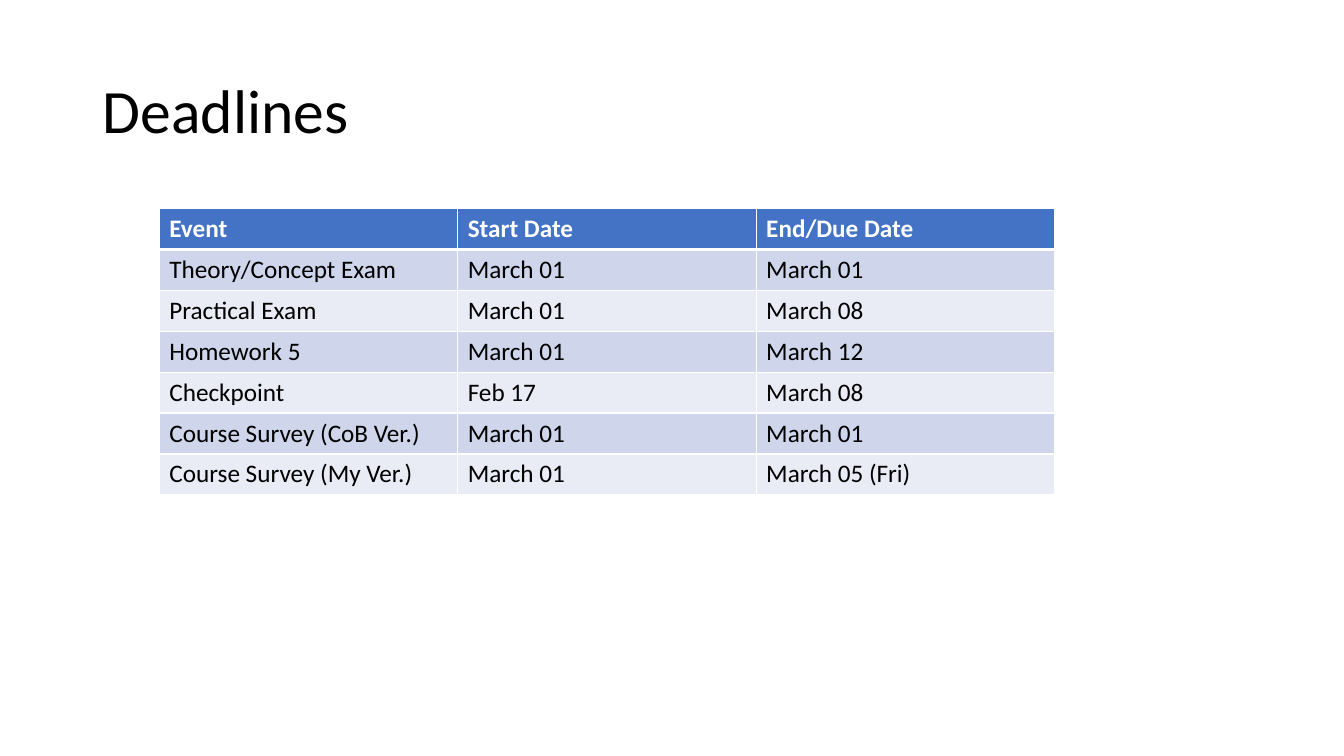
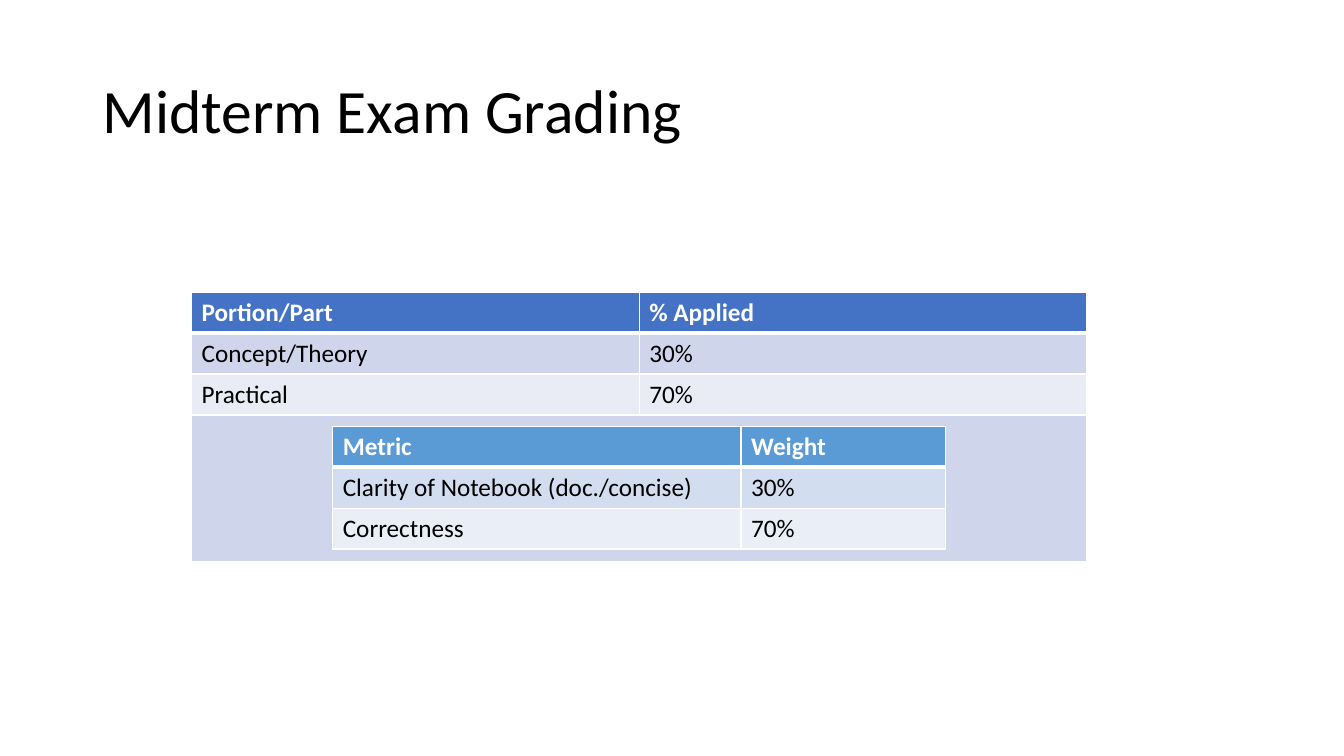
from lxml.etree import SubElement
from pptx import Presentation
from pptx.dml.color import RGBColor
from pptx.enum.text import MSO_ANCHOR
from pptx.oxml.ns import qn
from pptx.util import Inches, Pt

FONT = "Calibri"
BLACK = "000000"
WHITE = "FFFFFF"
ROW_HEIGHT = 2.84 / 7
THIN_BORDER = 1
HEADER_BORDER = 3
BLUE_STYLE = {"header": "4472C4", "bands": ("CFD5EA", "E9EBF5")}
LIGHT_BLUE_STYLE = {"header": "5B9BD5", "bands": ("D2DEEF", "EAEFF7")}
TITLE_FORMAT = {"name": FONT, "size": Pt(44), "bold": False}
HEADER_FORMAT = {"name": FONT, "size": Pt(18), "bold": True}
BODY_FORMAT = {"name": FONT, "size": Pt(18), "bold": False}

DEADLINES = [
    ("Event", "Start Date", "End/Due Date"),
    ("Theory/Concept Exam", "March 01", "March 01"),
    ("Practical Exam", "March 01", "March 08"),
    ("Homework 5", "March 01", "March 12"),
    ("Checkpoint", "Feb 17", "March 08"),
    ("Course Survey (CoB Ver.)", "March 01", "March 01"),
    ("Course Survey (My Ver.)", "March 01", "March 05 (Fri)"),
]
EXAM_PARTS = [
    ("Portion/Part", "% Applied"),
    ("Concept/Theory", "30%"),
    ("Practical", "70%"),
    ("", ""),
]
PRACTICAL_METRICS = [
    ("Metric", "Weight"),
    ("Clarity of Notebook (doc./concise)", "30%"),
    ("Correctness", "70%"),
]


def color(value):
    """Return the colour for a hex string."""
    return RGBColor.from_string(value)


def write_text(paragraph, text, font_format, text_color):
    """Add one formatted run to a paragraph."""
    run = paragraph.add_run()
    run.text = text
    for name, value in font_format.items():
        setattr(run.font, name, value)
    run.font.color.rgb = color(text_color)


def add_titled_slide(presentation, title):
    """Add a blank slide with the shared title style."""
    slide = presentation.slides.add_slide(presentation.slide_layouts[6])
    shape = slide.shapes.add_textbox(Inches(0.92), Inches(0.4), Inches(11.5), Inches(1.45))
    frame = shape.text_frame
    frame.word_wrap = True
    frame.vertical_anchor = MSO_ANCHOR.MIDDLE
    paragraph = frame.paragraphs[0]
    paragraph.line_spacing = 0.9
    write_text(paragraph, title, TITLE_FORMAT, BLACK)
    return slide


def set_borders(cell, top, bottom):
    """Draw white borders around a cell, with top and bottom widths in points."""
    properties = cell._tc.get_or_add_tcPr()
    widths = {"lnL": THIN_BORDER, "lnR": THIN_BORDER, "lnT": top, "lnB": bottom}
    for index, (side, width) in enumerate(widths.items()):
        line = SubElement(properties, qn(f"a:{side}"), w=str(Pt(width)))
        fill = SubElement(line, qn("a:solidFill"))
        SubElement(fill, qn("a:srgbClr"), val=WHITE)
        properties.insert(index, line)


def format_cell(cell, text, row_index, style):
    """Fill, border and write one cell as header or banded body."""
    is_header = row_index == 0
    fill = style["header"] if is_header else style["bands"][(row_index - 1) % 2]
    cell.fill.solid()
    cell.fill.fore_color.rgb = color(fill)
    top = HEADER_BORDER if row_index == 1 else THIN_BORDER
    set_borders(cell, top, HEADER_BORDER if is_header else THIN_BORDER)
    if text:
        font_format = HEADER_FORMAT if is_header else BODY_FORMAT
        write_text(cell.text_frame.paragraphs[0], text, font_format, WHITE if is_header else BLACK)


def add_banded_table(slide, left, top, column_widths, rows, style):
    """Add a table with a header row and alternating body rows."""
    shape = slide.shapes.add_table(
        len(rows), len(column_widths), Inches(left), Inches(top),
        Inches(sum(column_widths)), Inches(ROW_HEIGHT * len(rows)),
    )
    table = shape.table
    table.horz_banding = False
    for column, width in zip(table.columns, column_widths):
        column.width = Inches(width)
    for row_index, texts in enumerate(rows):
        table.rows[row_index].height = Inches(ROW_HEIGHT)
        for column_index, text in enumerate(texts):
            format_cell(table.cell(row_index, column_index), text, row_index, style)
    return table


def add_deadlines_slide(presentation):
    """Add the slide of course deadlines."""
    slide = add_titled_slide(presentation, "Deadlines")
    add_banded_table(slide, 1.58, 2.07, [2.96] * 3, DEADLINES, BLUE_STYLE)


def add_grading_slide(presentation):
    """Add the grading slide with the metrics table set in the last row."""
    slide = add_titled_slide(presentation, "Midterm Exam Grading")
    parts = add_banded_table(slide, 1.9, 2.9, [4.44] * 2, EXAM_PARTS, BLUE_STYLE)
    last_row = len(EXAM_PARTS) - 1
    parts.rows[last_row].height = Inches(1.45)
    parts.cell(last_row, 0).merge(parts.cell(last_row, 1))
    add_banded_table(slide, 3.3, 4.23, [4.05, 2.03], PRACTICAL_METRICS, LIGHT_BLUE_STYLE)


def main():
    """Build and save the presentation."""
    presentation = Presentation()
    presentation.slide_width = Inches(13.33)
    presentation.slide_height = Inches(7.5)
    add_deadlines_slide(presentation)
    add_grading_slide(presentation)
    presentation.save("out.pptx")


if __name__ == "__main__":
    main()
